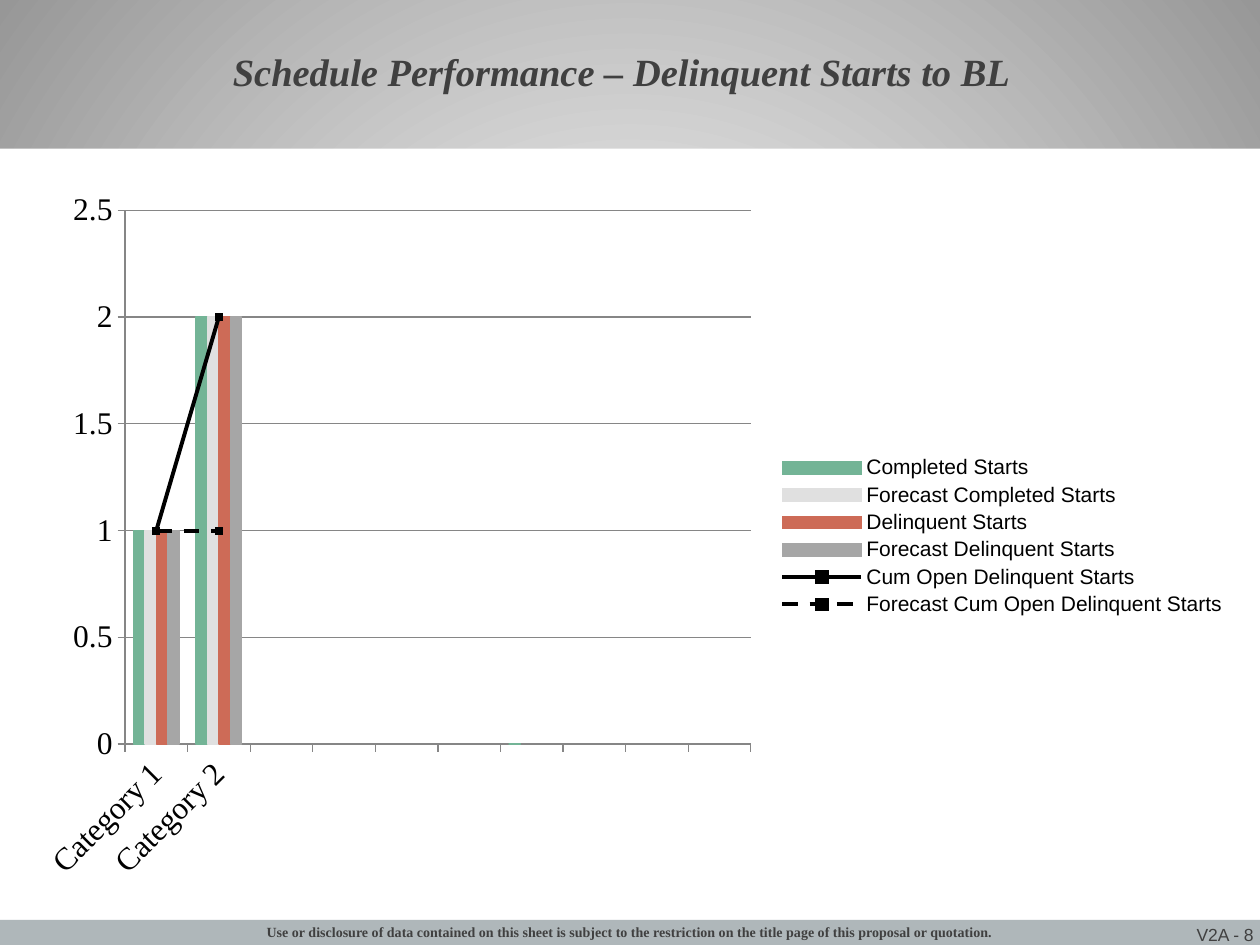
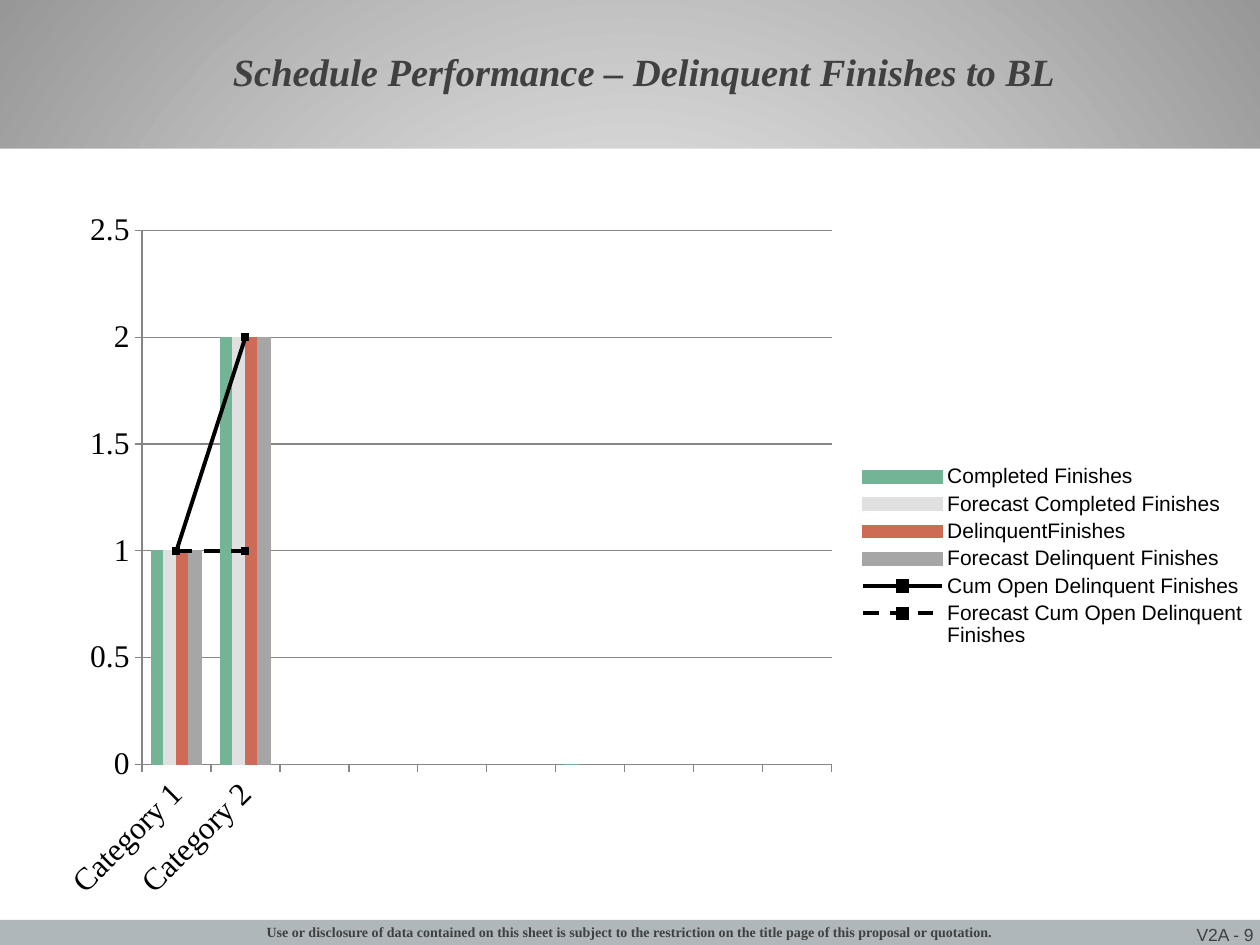
from collections import namedtuple
from dataclasses import dataclass

from lxml.etree import SubElement
from pptx import Presentation
from pptx.chart.data import CategoryChartData
from pptx.dml.color import RGBColor
from pptx.enum.chart import XL_CHART_TYPE, XL_LEGEND_POSITION, XL_MARKER_STYLE, XL_TICK_MARK
from pptx.enum.dml import MSO_LINE
from pptx.enum.shapes import MSO_SHAPE
from pptx.enum.text import MSO_ANCHOR, PP_ALIGN
from pptx.oxml.ns import qn
from pptx.util import Inches, Pt

Box = namedtuple("Box", "left top width height")


@dataclass(frozen=True)
class Theme:
    """Colours, fonts and type sizes of the deck."""
    white: str = "FFFFFF"
    edge: str = "979797"
    band: str = "AFB7BA"
    ink: str = "404040"
    black: str = "000000"
    grid: str = "868686"
    bars: tuple = ("73B496", "E0E0E0", "CD6B57", "A6A6A6")
    serif: str = "Times New Roman"
    sans: str = "Arial"
    title: int = 22
    axis: int = 18
    legend: int = 12
    page: int = 10
    note: int = 8


THEME = Theme()
PAGE = Box(0, 0, 10, 7.5)
NOTE = ("Use or disclosure of data contained on this sheet is subject to the "
        "restriction on the title page of this proposal or quotation.")
SLOTS = 10
VALUES = [[1, 2]] * 5 + [[1, 1]]


def rgb(code):
    """Turn a hex code into a colour."""
    return RGBColor.from_string(code)


def inches(box):
    """Give the four lengths of a box."""
    return [Inches(side) for side in box]


def style(font, face, size, color, bold=False, italic=False):
    """Set the look of a font."""
    font.name, font.size, font.color.rgb = face, Pt(size), rgb(color)
    font.bold, font.italic = bold, italic


def add_band(slide, box, color):
    """Draw a plain filled band."""
    band = slide.shapes.add_shape(MSO_SHAPE.RECTANGLE, *inches(box))
    band.shadow.inherit = False
    band.fill.solid()
    band.fill.fore_color.rgb = rgb(color)
    band.line.fill.background()


def add_text(slide, box, text, align, anchor, inset, **look):
    """Place one styled paragraph in a box and return it."""
    frame = slide.shapes.add_textbox(*inches(box)).text_frame
    frame.word_wrap = True
    frame.vertical_anchor = anchor
    frame.margin_left = frame.margin_right = Inches(inset)
    frame.margin_top = frame.margin_bottom = Inches(inset / 2)
    frame.text = text
    para = frame.paragraphs[0]
    para.alignment = align
    style(para.runs[0].font, **look)
    return para


def add_back(slide):
    """Fill the slide with a round gradient from its centre."""
    fill = slide.background.fill
    fill.gradient()
    for stop, color in zip(fill.gradient_stops, (THEME.white, THEME.edge)):
        stop.color.rgb = rgb(color)
    grad = slide.element.xpath(".//p:bg//a:gradFill")[0]
    for line in grad.findall(qn("a:lin")):
        grad.remove(line)
    ring = SubElement(grad, qn("a:path"), path="circle")
    SubElement(ring, qn("a:fillToRect"), dict.fromkeys("ltrb", "50000"))


def add_head(slide, box, text):
    """Write the title in the header."""
    spot = Box(box.left + 1.75, box.top + 0.11, 8.08, 0.97)
    para = add_text(slide, spot, text, PP_ALIGN.LEFT, MSO_ANCHOR.MIDDLE, 0.1,
                    face=THEME.serif, size=THEME.title, color=THEME.ink, bold=True, italic=True)
    para.line_spacing = 0.85


def add_foot(slide, box, number):
    """Draw the footer band with its notice and page number."""
    add_band(slide, box, THEME.band)
    top = box.top + 0.03
    add_text(slide, Box(box.left + 9.01, top, 0.94, 0.17), f"V2A - {number}",
             PP_ALIGN.RIGHT, MSO_ANCHOR.BOTTOM, 0,
             face=THEME.sans, size=THEME.page, color=THEME.ink)
    add_text(slide, Box(box.left + 1.44, top, 7.12, 0.13), NOTE,
             PP_ALIGN.CENTER, MSO_ANCHOR.TOP, 0,
             face=THEME.serif, size=THEME.note, color=THEME.ink, bold=True)


def split_lines(chart, count):
    """Move the series after the first few from columns to lines."""
    bars = chart.element.xpath(".//c:barChart")[0]
    lines = bars.makeelement(qn("c:lineChart"))
    bars.addnext(lines)
    SubElement(lines, qn("c:grouping"), val="standard")
    SubElement(lines, qn("c:varyColors"), val="0")
    for ser in bars.findall(qn("c:ser"))[count:]:
        for flag in ser.findall(qn("c:invertIfNegative")):
            ser.remove(flag)
        lines.append(ser)
    SubElement(lines, qn("c:marker"), val="1")
    for axis in bars.findall(qn("c:axId")):
        SubElement(lines, qn("c:axId"), val=axis.get("val"))


def style_series(chart):
    """Colour the columns and the two black lines."""
    bars, lines = chart.plots
    bars.gap_width, bars.overlap, bars.vary_by_categories = 150, 0, False
    for ser, color in zip(bars.series, THEME.bars):
        ser.format.fill.solid()
        ser.format.fill.fore_color.rgb = rgb(color)
        ser.format.line.color.rgb = rgb(color)
        ser.format.line.width = Pt(0.75)
    for ser, dash in zip(lines.series, (MSO_LINE.SOLID, MSO_LINE.DASH)):
        ser.smooth = False
        ser.format.line.color.rgb = rgb(THEME.black)
        ser.format.line.width = Pt(2.25)
        ser.format.line.dash_style = dash
        ser.marker.style, ser.marker.size = XL_MARKER_STYLE.SQUARE, 4
        ser.marker.format.fill.solid()
        ser.marker.format.fill.fore_color.rgb = rgb(THEME.black)
        ser.marker.format.line.color.rgb = rgb(THEME.black)


def style_axes(chart):
    """Set ticks, grid lines and slanted category labels."""
    for axis in (chart.category_axis, chart.value_axis):
        axis.major_tick_mark = XL_TICK_MARK.OUTSIDE
        axis.minor_tick_mark = XL_TICK_MARK.NONE
        axis.format.line.color.rgb = rgb(THEME.grid)
        style(axis.tick_labels.font, THEME.serif, THEME.axis, THEME.black)
    chart.value_axis.has_major_gridlines = True
    chart.value_axis.major_gridlines.format.line.color.rgb = rgb(THEME.grid)
    body = chart.element.xpath(".//c:catAx/c:txPr/a:bodyPr")[0]
    body.set("rot", "-2700000")
    body.set("vert", "horz")


def add_plot(slide, box, names):
    """Build the chart of columns and running totals."""
    data = CategoryChartData()
    data.categories = ["Category 1", "Category 2"] + [""] * (SLOTS - 2)
    for order, (name, pair) in enumerate(zip(names, VALUES)):
        row = pair + [None] * (SLOTS - 2)
        if order == 0:
            row[6] = 0
        data.add_series(name, row)
    chart = slide.shapes.add_chart(XL_CHART_TYPE.COLUMN_CLUSTERED, *inches(box), data).chart
    chart.has_title = False
    style(chart.font, THEME.serif, THEME.axis, THEME.black)
    split_lines(chart, len(THEME.bars))
    style_series(chart)
    style_axes(chart)
    chart.has_legend = True
    chart.legend.position = XL_LEGEND_POSITION.RIGHT
    chart.legend.include_in_layout = False
    style(chart.legend.font, THEME.sans, THEME.legend, THEME.black)


def add_slide(deck, box, number, event, late, spot):
    """Build one schedule slide for a kind of event."""
    slide = deck.slides.add_slide(deck.slide_layouts[6])
    add_back(slide)
    add_band(slide, Box(box.left, box.top + 1.18, box.width, 6.15), THEME.white)
    add_foot(slide, Box(box.left, box.top + 7.3, box.width, 0.2), number)
    add_head(slide, box, f"Schedule Performance – Delinquent {event} to BL")
    names = [f"Completed {event}", f"Forecast Completed {event}", late,
             f"Forecast Delinquent {event}", f"Cum Open Delinquent {event}",
             f"Forecast Cum Open Delinquent {event}"]
    left, top = spot
    add_plot(slide, Box(box.left + left, box.top + top, 9.67, 5.67), names)


def main():
    """Build and save the deck."""
    deck = Presentation()
    deck.slide_width, deck.slide_height = Inches(PAGE.width), Inches(PAGE.height)
    add_slide(deck, PAGE, 8, "Starts", "Delinquent Starts", (0.17, 1.42))
    add_slide(deck, PAGE, 9, "Finishes", "DelinquentFinishes", (0.33, 1.58))
    deck.save("out.pptx")


if __name__ == "__main__":
    main()
